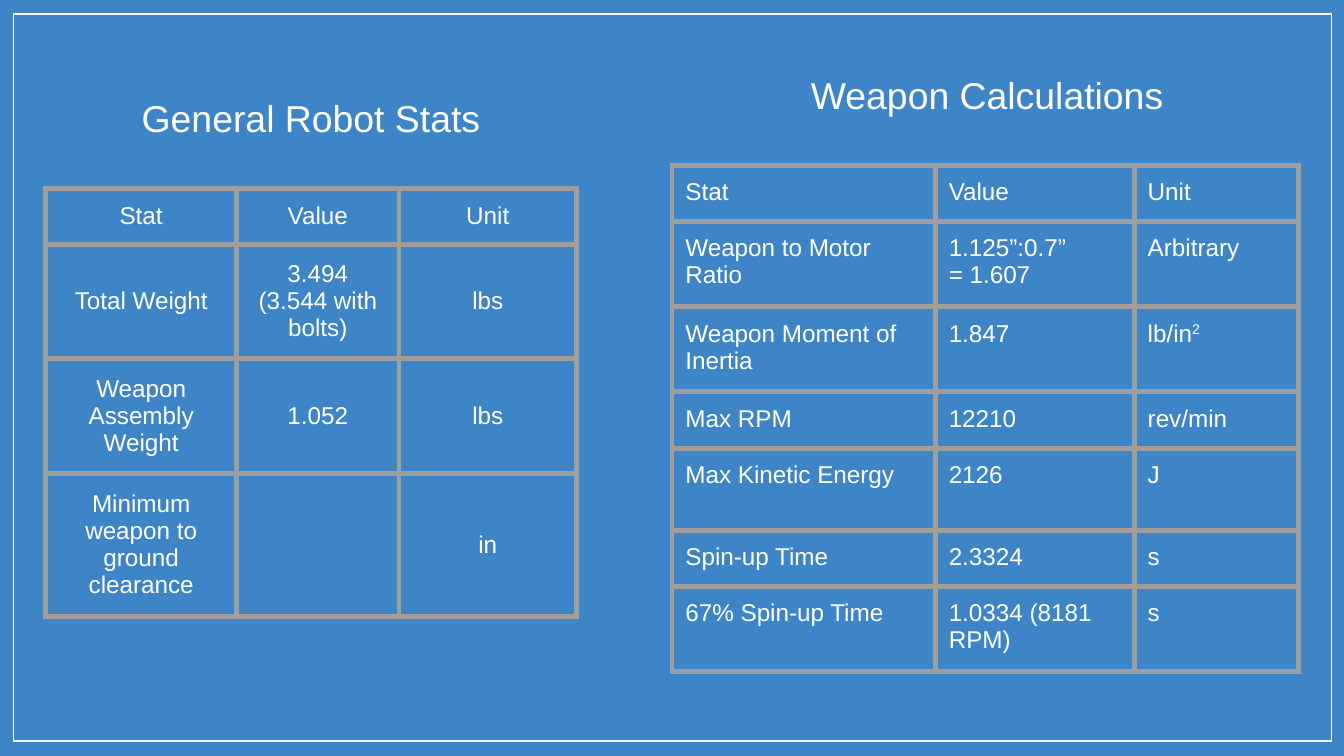
import pptx
import pptx.dml.color
import pptx.enum.shapes
import pptx.enum.text
import pptx.oxml
import pptx.oxml.ns
import pptx.util

Pt = pptx.util.Pt
ALIGN = pptx.enum.text.PP_ALIGN
ANCHOR = pptx.enum.text.MSO_ANCHOR
COLORS = {"background": "3D85C6", "white": "FFFFFF", "border": "9E9E9E"}
INSET = Pt(7.2)

ROBOT_STATS = [
    ("Stat", "Value", "Unit"),
    ("Total Weight", "3.494 (3.544 with bolts)", "lbs"),
    ("Weapon Assembly Weight", "1.052", "lbs"),
    ("Minimum weapon to ground clearance", "", "in"),
]
WEAPON_STATS = [
    ("Stat", "Value", "Unit"),
    ("Weapon to Motor Ratio", "1.125”:0.7”\n= 1.607", "Arbitrary"),
    ("Weapon Moment of Inertia", "1.847", "lb/in^2"),
    ("Max RPM", "12210", "rev/min"),
    ("Max Kinetic Energy", "2126", "J"),
    ("Spin-up Time", "2.3324", "s"),
    ("67% Spin-up Time", "1.0334 (8181 RPM)", "s"),
]


def rgb(name):
    return pptx.dml.color.RGBColor.from_string(COLORS[name])


def write_text(tf, text, size, align):
    """Write one paragraph per line; what follows ^ is superscript."""
    tf.word_wrap = True
    for i, line in enumerate(text.split("\n")):
        p = tf.add_paragraph() if i else tf.paragraphs[0]
        p.alignment = align
        p.font.size = Pt(size)
        p.font.name = "Arial"
        p.font.color.rgb = rgb("white")
        base, _, power = line.partition("^")
        if base:
            p.add_run().text = base
        if power:
            r = p.add_run()
            r.text = power
            r.font._element.set("baseline", "30000")


def add_borders(cell):
    tcPr = cell._tc.get_or_add_tcPr()
    for side in ("lnL", "lnR", "lnT", "lnB"):
        tcPr.append(pptx.oxml.parse_xml(
            f'<a:{side} {pptx.oxml.ns.nsdecls("a")} w="{Pt(3)}"><a:solidFill>'
            f'<a:srgbClr val="{COLORS["border"]}"/></a:solidFill></a:{side}>'))


def add_frame(slide, x, y, w, h):
    sp = slide.shapes.add_shape(
        pptx.enum.shapes.MSO_SHAPE.RECTANGLE, Pt(x), Pt(y), Pt(w), Pt(h))
    sp.shadow.inherit = False
    sp.fill.background()
    sp.line.color.rgb = rgb("white")
    sp.line.width = Pt(0.75)


def add_title(slide, text, x, y, w, h):
    tf = slide.shapes.add_textbox(Pt(x), Pt(y), Pt(w), Pt(h)).text_frame
    tf.margin_left = tf.margin_right = tf.margin_top = tf.margin_bottom = INSET
    write_text(tf, text, 20, ALIGN.CENTER)


def add_stats_table(slide, rows, x, y, widths, heights, align, anchor):
    table = slide.shapes.add_table(
        len(rows), len(widths), Pt(x), Pt(y),
        Pt(sum(widths)), Pt(sum(heights))).table
    table.first_row = table.horz_banding = False
    for column, width in zip(table.columns, widths):
        column.width = Pt(width)
    for row, height, texts in zip(table.rows, heights, rows):
        row.height = Pt(height)
        for cell, text in zip(row.cells, texts):
            add_borders(cell)
            cell.fill.background()
            cell.margin_left = cell.margin_right = INSET
            cell.margin_top = cell.margin_bottom = INSET
            cell.vertical_anchor = anchor
            write_text(cell.text_frame, text, 13, align)


def main():
    prs = pptx.Presentation()
    prs.slide_width, prs.slide_height = Pt(720), Pt(405)
    slide = prs.slides.add_slide(prs.slide_layouts[6])
    slide.background.fill.solid()
    slide.background.fill.fore_color.rgb = rgb("background")

    add_frame(slide, 7.2, 7.6, 706.2, 389.5)
    add_title(slide, "General Robot Stats", 10.8, 43.9, 311.8, 45.4)
    add_stats_table(slide, ROBOT_STATS, 24.5, 100.8, (102.2, 87.1, 95),
                    (30, 43.5, 58, 72.5), ALIGN.CENTER, ANCHOR.MIDDLE)
    add_stats_table(slide, WEAPON_STATS, 360, 88.6, (141.1, 106.6, 87.8),
                    (29, 44, 44, 29, 44, 29, 44), ALIGN.LEFT, ANCHOR.TOP)
    add_title(slide, "Weapon Calculations", 380.9, 31.7, 295.9, 45.4)
    prs.save("out.pptx")


if __name__ == "__main__":
    main()
